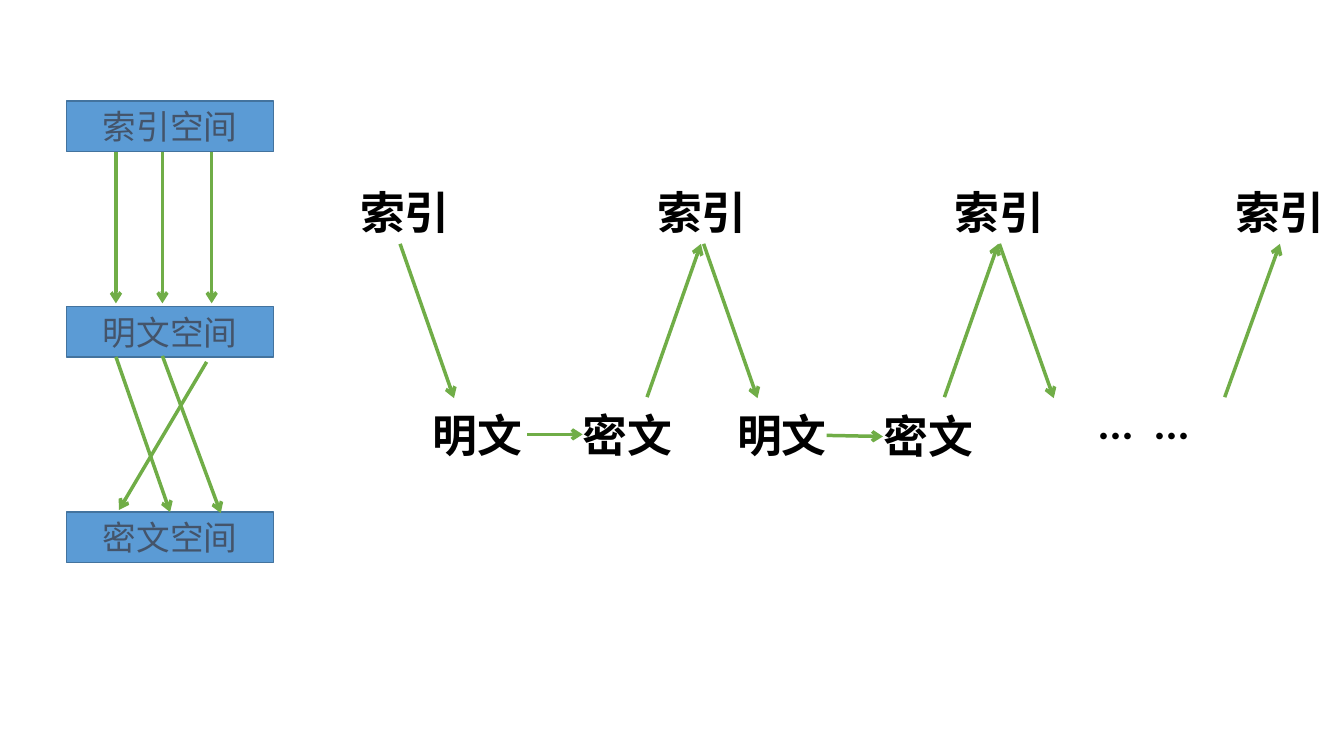
from lxml import etree
from pptx import Presentation
from pptx import util as u
from pptx.dml import color
from pptx.enum import shapes, text
from pptx.oxml import ns

GREEN = "70AD47"


def rgb(value):
    return color.RGBColor.from_string(value)


def write(shape, content, font_format, anchor):
    frame = shape.text_frame
    frame.vertical_anchor = anchor
    paragraph = frame.paragraphs[0]
    paragraph.alignment = text.PP_ALIGN.CENTER
    run = paragraph.add_run()
    run.text = content
    run.font.color.rgb = rgb(font_format["color"])
    for name in ("name", "size", "bold"):
        setattr(run.font, name, font_format[name])


presentation = Presentation()
presentation.slide_width = u.Pt(960)
presentation.slide_height = u.Pt(540)
slide = presentation.slides.add_slide(presentation.slide_layouts[6])

space_font = {"name": "Calibri", "size": u.Pt(24), "bold": False, "color": "44546A"}
label_font = {"name": "Calibri", "size": u.Pt(32), "bold": True, "color": "000000"}

spaces = []
for row, name in enumerate(["索引空间", "明文空间", "密文空间"]):
    shape = slide.shapes.add_shape(
        shapes.MSO_SHAPE.RECTANGLE, u.Pt(47.5), u.Pt(72.2 + 146.8 * row), u.Pt(148), u.Pt(36)
    )
    shape.shadow.inherit = False
    shape.fill.solid()
    shape.fill.fore_color.rgb = rgb("5B9BD5")
    shape.line.color.rgb = rgb("43739E")
    shape.line.width = u.Pt(1)
    write(shape, name, space_font, text.MSO_ANCHOR.MIDDLE)
    spaces.append(shape)

index_top, chain_top, label_width = 128.2, 287.6, 78.5
labels = [("索引", left, index_top, label_width) for left in (250, 462.2, 674.6, 875)]
labels += [
    ("明文", 301.7, chain_top, label_width),
    ("密文", 409.2, chain_top, label_width),
    ("明文", 519.3, chain_top, label_width),
    ("密文", 623.8, 288.7, label_width),
    ("...  ...", 775.9, 278.2, 82),
]
boxes = []
for content, left, top, width in labels:
    box = slide.shapes.add_textbox(u.Pt(left), u.Pt(top), u.Pt(width), u.Pt(46))
    box.text_frame.word_wrap = False
    box.text_frame.auto_size = text.MSO_AUTO_SIZE.SHAPE_TO_FIT_TEXT
    write(box, content, label_font, text.MSO_ANCHOR.TOP)
    boxes.append(box)

arrows = [(x, 108.7, x, 216.7, None, None) for x in (82.8, 116, 151.2)]
arrows += [
    (147.6, 258.5, 85, 364.3, None, None),
    (82.8, 254.9, 121.7, 366, None, spaces[2]),
    (116, 254.2, 157.7, 366.5, None, None),
    (376.6, 310.3, 416.2, 310.3, None, None),
    (590.4, 311, 630.7, 311.8, None, None),
]
for x, start_box in ((285.8, None), (502.6, None), (714.2, boxes[2])):
    arrows.append((x, 174.2, x + 38.5, 284.4, start_box, None))
for x, end_box in ((462.2, None), (674.6, None), (874.8, boxes[3])):
    arrows.append((x, 283.7, x + 38.5, 174.2, None, end_box))

for x1, y1, x2, y2, start_box, end_box in arrows:
    arrow = slide.shapes.add_connector(
        shapes.MSO_CONNECTOR.STRAIGHT, u.Pt(x1), u.Pt(y1), u.Pt(x2), u.Pt(y2)
    )
    if start_box is not None:
        arrow.begin_connect(start_box, 2)
    if end_box is not None:
        arrow.end_connect(end_box, 0 if end_box is spaces[2] else 2)
    arrow.line.color.rgb = rgb(GREEN)
    arrow.line.width = u.Pt(2.5)
    properties = arrow.element.spPr
    etree.SubElement(properties.find(ns.qn("a:ln")), ns.qn("a:tailEnd"), type="arrow")
    etree.SubElement(properties, ns.qn("a:effectLst"))

presentation.save("out.pptx")
